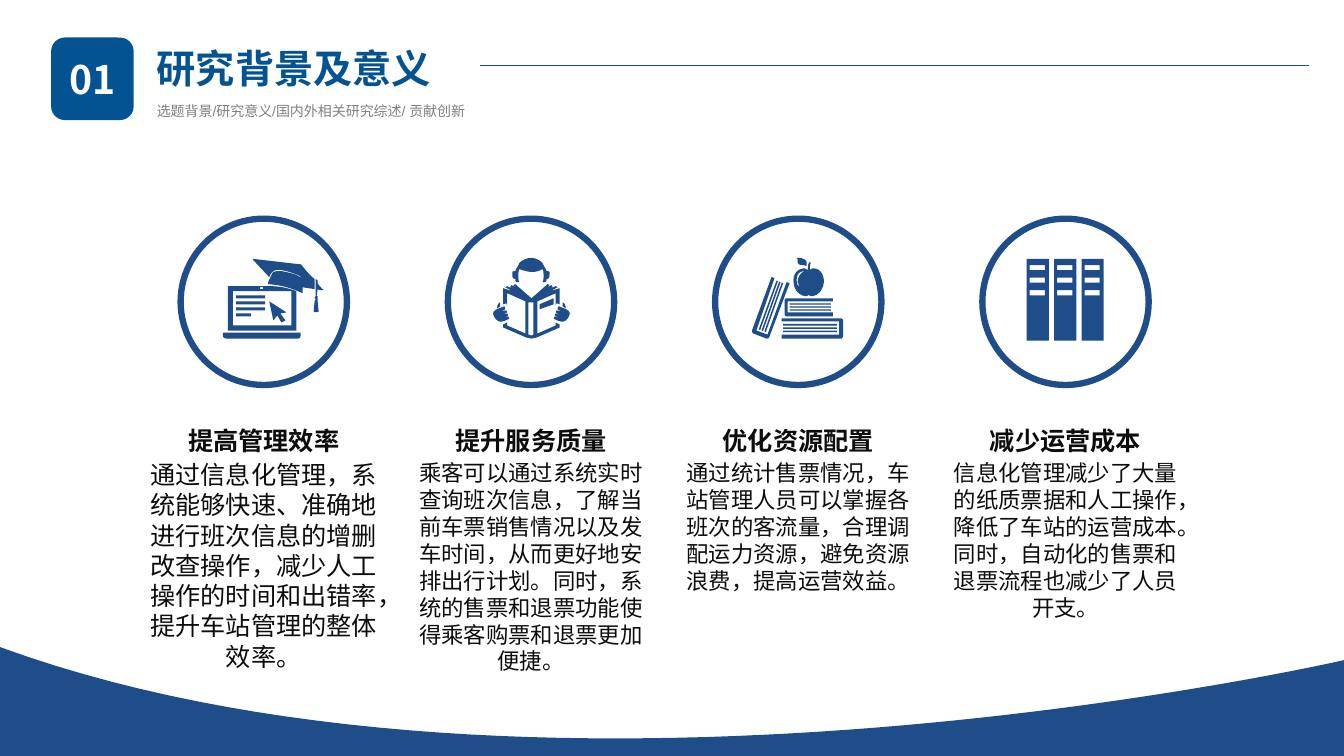
from dataclasses import dataclass

from lxml.etree import SubElement
from pptx import Presentation
from pptx.dml.color import RGBColor as Color
from pptx.enum.shapes import MSO_CONNECTOR as Link, MSO_SHAPE as Preset
from pptx.enum.text import MSO_ANCHOR as Anchor, PP_ALIGN as Align
from pptx.oxml.ns import qn
from pptx.util import Pt


@dataclass(frozen=True)
class Theme:
    """Colours, fonts and type sizes of the deck."""
    blue: str = "1E4D8A"
    title_blue: str = "035392"
    ink: str = "0D0D0D"
    grey: str = "808080"
    white: str = "FFFFFF"
    cjk: str = "Noto Sans CJK SC"
    latin: str = "Arial"
    heading: int = 28
    label: int = 18
    body: int = 16
    caption: int = 10


THEME = Theme()
ICON_UNIT = 0.72


def block(left, top, width, height):
    """Return the corners of a rectangle."""
    right, bottom = left + width, top + height
    return [(left, top), (right, top), (right, bottom), (left, bottom)]


def mirror(contour, axis=83):
    """Reflect a contour across a vertical axis."""
    return [tuple(2 * axis - value if index % 2 == 0 else value
                  for index, value in enumerate(step)) for step in contour]


def flatten(contour, steps=8):
    """Turn line steps (x, y) and cubic steps (six values) into points."""
    points = [contour[0]]
    for step in contour[1:]:
        if len(step) == 2:
            points.append(step)
            continue
        knots = [points[-1], step[:2], step[2:4], step[4:]]
        for index in range(1, steps + 1):
            t = index / steps
            weights = ((1 - t) ** 3, 3 * t * (1 - t) ** 2, 3 * t * t * (1 - t), t ** 3)
            points.append(tuple(sum(w * knot[axis] for w, knot in zip(weights, knots))
                                for axis in (0, 1)))
    return points


def laptop_icon():
    """Outline a laptop with a graduation cap."""
    base = [(42, 113), (119, 113), (119, 116), (119, 118, 118, 119, 116, 119), (46, 119),
            (44, 119, 42, 118, 42, 116)]
    lid = [(47, 67), (90, 67), (99, 67, 107, 69, 115, 72), (115, 111), (47, 111)]
    lines = [block(55, 76 + 6 * row, 15 if row == 3 else 29, 3) for row in range(4)]
    cursor = [(88, 82), (92, 101), (96, 96), (100, 103), (104, 101), (99, 94), (105, 93)]
    cap = [(133, 60), (128, 56, 124, 51, 120, 46), (119, 45, 118, 45, 116, 45), (73, 40),
           (72, 40, 72, 40, 72, 41), (88, 58), (90, 53, 92, 50, 100, 51),
           (105, 52, 109, 53, 114, 55), (117, 56, 119, 57, 120, 59),
           (119, 58, 117, 57, 115, 56), (110, 54, 105, 53, 100, 52),
           (97, 52, 94, 52, 92, 53), (90, 55, 88, 61, 87, 63), (86, 65, 87, 65, 88, 65),
           (100, 66, 111, 69, 121, 74), (121, 68), (125, 69, 129, 69, 133, 70)]
    tassel = [(141, 71), (142, 71, 142, 70, 141, 70), (139, 68, 137, 66, 136, 64),
              (136, 61), (134, 60), (134, 77), (133, 78), (134, 80), (133, 82), (132, 92),
              (133, 93, 137, 93, 137, 92), (136, 82), (136, 77), (135, 77), (136, 70),
              (137, 71, 139, 71, 141, 71)]
    return [base, lid, block(79, 68, 3, 2), block(52, 72, 58, 34), *lines, cursor, cap, tassel]


def reader_icon():
    """Outline a reader with headphones behind an open book."""
    spine = [(80, 83), (80, 115), (83, 116), (85, 115), (85, 83)]
    label = [(91, 85), (105, 79), (105, 85), (91, 90)]
    half = [(83, 79), (67, 65), (65, 66), (67, 68), (63, 66), (62, 68), (65, 70), (59, 67),
            (57, 68), (64, 72), (55, 69), (55, 85), (58, 84), (59, 86), (59, 74), (77, 82),
            (77, 114), (59, 106), (59, 103), (55, 105), (55, 108), (78, 118), (83, 119)]
    hand = [(56, 87), (57, 88, 57, 89, 57, 90), (53, 92), (58, 91), (59, 93), (55, 95),
            (59, 94), (60, 96), (56, 98), (60, 97), (61, 99), (60, 100, 54, 103, 51, 102),
            (48, 101, 45, 97, 45, 94), (45, 90, 54, 88, 56, 87)]
    cuff = [(49, 89), (52, 87), (52, 83), (50, 84, 49, 86, 49, 89)]
    head = [(83, 39), (87, 39, 91, 41, 94, 44), (95, 47, 97, 49, 98, 52),
            (99, 52, 100, 52, 101, 53), (101, 55, 101, 59, 100, 59),
            (99, 60, 99, 60, 98, 59), (98, 61, 98, 62, 97, 63), (94, 63),
            (95, 61, 95, 59, 95, 57), (95, 54, 95, 52, 94, 50), (85, 56, 74, 51, 71, 50),
            (70, 52, 70, 55, 70, 57), (70, 59, 70, 61, 71, 63), (68, 63),
            (67, 62, 67, 61, 67, 59), (66, 60, 66, 60, 65, 59), (64, 59, 64, 55, 64, 53),
            (65, 52, 66, 52, 67, 52), (68, 49, 70, 47, 71, 44), (74, 41, 78, 39, 83, 39)]
    return [spine, label, half + mirror(half)[::-1], hand, mirror(hand), cuff, mirror(cuff), head]


def books_icon():
    """Outline a leaning book and two stacked books under an apple."""
    upper = [(72, 82), (72, 93), (117, 93), (117, 97), (71, 97), (70, 97, 69, 96, 69, 94),
             (69, 81), (69, 80, 70, 79, 71, 79), (117, 79), (117, 82)]
    lower = [(123, 102), (123, 115), (66, 115), (66, 119), (125, 119),
             (126, 119, 127, 118, 127, 116), (127, 101), (127, 100, 126, 99, 125, 99),
             (66, 99), (66, 102)]
    leaning = [(41, 111), (52, 115), (71, 63), (74, 64), (54, 117), (54, 118, 53, 119, 51, 119),
               (38, 114), (37, 113, 36, 112, 37, 110), (56, 58), (59, 59)]
    sheets = [block(74, 84 + 3 * row, 41, 1.2) for row in range(3)]
    sheets += [block(67.5, 104.5 + 3.3 * row, 53.5, 1.6) for row in range(3)]
    sheets += [[(61 + 2.6 * row, 61.5 + row), (43.3 + 2.8 * row, 110 + row),
                (44.8 + 2.8 * row, 110.4 + row), (62.4 + 2.6 * row, 62 + row)]
               for row in range(3)]
    leaf = [(85, 46), (84, 46, 83, 45, 82, 44), (82, 43, 82, 42, 82, 41),
            (82, 40, 81, 39, 81, 39), (82, 39, 84, 39, 85, 39), (88, 40, 91, 41, 91, 44),
            (91, 45, 91, 47, 90, 47), (89, 46, 87, 46, 85, 46)]
    apple = [(101, 50), (106, 52, 108, 57, 108, 63), (107, 71, 102, 77, 95, 77),
             (94, 77, 94, 76, 93, 76), (92, 76, 91, 77, 91, 77), (84, 77, 78, 71, 78, 63),
             (77, 57, 80, 52, 85, 50), (88, 49, 89, 49, 92, 51), (92, 48, 92, 45, 94, 43),
             (95, 44), (94, 46, 94, 49, 94, 51), (96, 49, 98, 49, 101, 50)]
    shine = [(89, 52), (88, 52, 87, 52, 85, 53), (82, 54, 81, 58, 81, 61),
             (81, 64, 82, 66, 83, 68), (83, 66, 83, 65, 82, 63), (82, 59, 84, 55, 87, 53)]
    return [upper, lower, leaning, *sheets, leaf, apple, shine]


def binders_icon():
    """Outline three binders with three label slots each."""
    lefts = [44 + 27.2 * index for index in range(3)]
    return ([block(left, 40, 22, 81) for left in lefts]
            + [block(left + 3, top, 15, 5) for left in lefts for top in (46, 58.5, 71)])


def paint(shape, color):
    """Give a shape a flat fill without line or shadow."""
    shape.shadow.inherit = False
    shape.fill.solid()
    shape.fill.fore_color.rgb = Color.from_string(color)
    shape.line.fill.background()


def add_outline(page, left, top, contours, unit=1, steps=8):
    """Draw closed contours as one blue shape."""
    paths = [[(Pt(left + x * unit), Pt(top + y * unit)) for x, y in flatten(contour, steps)]
             for contour in contours]
    builder = page.shapes.build_freeform(*paths[0][0], scale=1.0)
    builder.add_line_segments(paths[0][1:])
    for points in paths[1:]:
        builder.move_to(*points[0])
        builder.add_line_segments(points[1:])
    paint(builder.convert_to_shape(), THEME.blue)


def write(frame, text, size, color, bold=False, font=THEME.cjk, align=Align.LEFT, spacing=None):
    """Write one run into the first paragraph of a frame."""
    para = frame.paragraphs[0]
    para.alignment, para.line_spacing = align, spacing
    span = para.add_run()
    span.text = text
    span.font.name, span.font.size, span.font.bold = font, Pt(size), bold
    span.font.color.rgb = Color.from_string(color)
    SubElement(span.font._element, qn("a:ea")).set("typeface", THEME.cjk)


def add_text(page, left, top, width, height, text, size, color, wrap=True, **style):
    """Place a text box."""
    box = page.shapes.add_textbox(Pt(left), Pt(top), Pt(width), Pt(height))
    box.text_frame.word_wrap = wrap
    write(box.text_frame, text, size, color, **style)


def add_wave(page, left, top, width, height):
    """Draw the curved band along the bottom."""
    start = height * 0.12
    add_outline(page, left, top, [[(width, height), (width, start),
                (width, start, width * 0.402, start + 131.8, 0, 0), (0, height)]], steps=60)


def add_header(page, left, top, width):
    """Draw the number badge, title, subtitle and rule."""
    badge = page.shapes.add_shape(Preset.ROUNDED_RECTANGLE, Pt(left), Pt(top), Pt(59), Pt(59))
    paint(badge, THEME.title_blue)
    badge.text_frame.vertical_anchor = Anchor.MIDDLE
    write(badge.text_frame, "01", THEME.heading, THEME.white, bold=True, align=Align.CENTER)
    add_text(page, left + 68.4, top + 1.4, 210, 41, "研究背景及意义",
             THEME.heading, THEME.title_blue, bold=True)
    add_text(page, left + 68.4, top + 31, 261.4, 28, "选题背景/研究意义/国内外相关研究综述/ 贡献创新",
             THEME.caption, THEME.grey, font=THEME.latin, spacing=2.0)
    rule = page.shapes.add_connector(Link.STRAIGHT, Pt(left + 306.7), Pt(top + 20.2),
                                     Pt(left + width), Pt(top + 20.2))
    rule.line.color.rgb, rule.line.width = Color.from_string(THEME.blue), Pt(0.5)
    SubElement(rule._element.spPr, qn("a:effectLst"))


def add_benefit(page, left, top, width, icon, title, text, size):
    """Draw one column: ringed icon, title and description."""
    ring_left = left + (width - 118.8) / 2
    ring = page.shapes.add_shape(Preset.OVAL, Pt(ring_left), Pt(top), Pt(118.8), Pt(118.8))
    ring.shadow.inherit = False
    ring.fill.background()
    ring.line.color.rgb, ring.line.width = Color.from_string(THEME.blue), Pt(4.5)
    add_outline(page, ring_left, top, icon, ICON_UNIT)
    add_text(page, left + (width - 123) / 2, top + 144, 123, 29, title, THEME.label, THEME.ink,
             wrap=False, bold=True, align=Align.CENTER)
    add_text(page, left, top + 168.5, width, 160, text, size, THEME.ink, align=Align.CENTER)


def main():
    """Build and save the deck."""
    deck = Presentation()
    deck.slide_width, deck.slide_height = Pt(960), Pt(540)
    page = deck.slides.add_slide(deck.slide_layouts[6])
    add_wave(page, 0, 462.2, 960, 77.8)
    add_header(page, 36.5, 26.8, 898.7)
    benefits = [
        (laptop_icon(), "提高管理效率", "通过信息化管理，系统能够快速、准确地进行班次信息的增删改查操作，减少人工操作的时间和出错率，提升车站管理的整体效率。", THEME.label),
        (reader_icon(), "提升服务质量", "乘客可以通过系统实时查询班次信息，了解当前车票销售情况以及发车时间，从而更好地安排出行计划。同时，系统的售票和退票功能使得乘客购票和退票更加便捷。", THEME.body),
        (books_icon(), "优化资源配置", "通过统计售票情况，车站管理人员可以掌握各班次的客流量，合理调配运力资源，避免资源浪费，提高运营效益。", THEME.body),
        (binders_icon(), "减少运营成本", "信息化管理减少了大量的纸质票据和人工操作，降低了车站的运营成本。同时，自动化的售票和退票流程也减少了人员开支。", THEME.body)]
    for index, benefit in enumerate(benefits):
        add_benefit(page, 95.5 + 190.9 * index, 156.2, 185.8, *benefit)
    deck.save("out.pptx")


if __name__ == "__main__":
    main()
